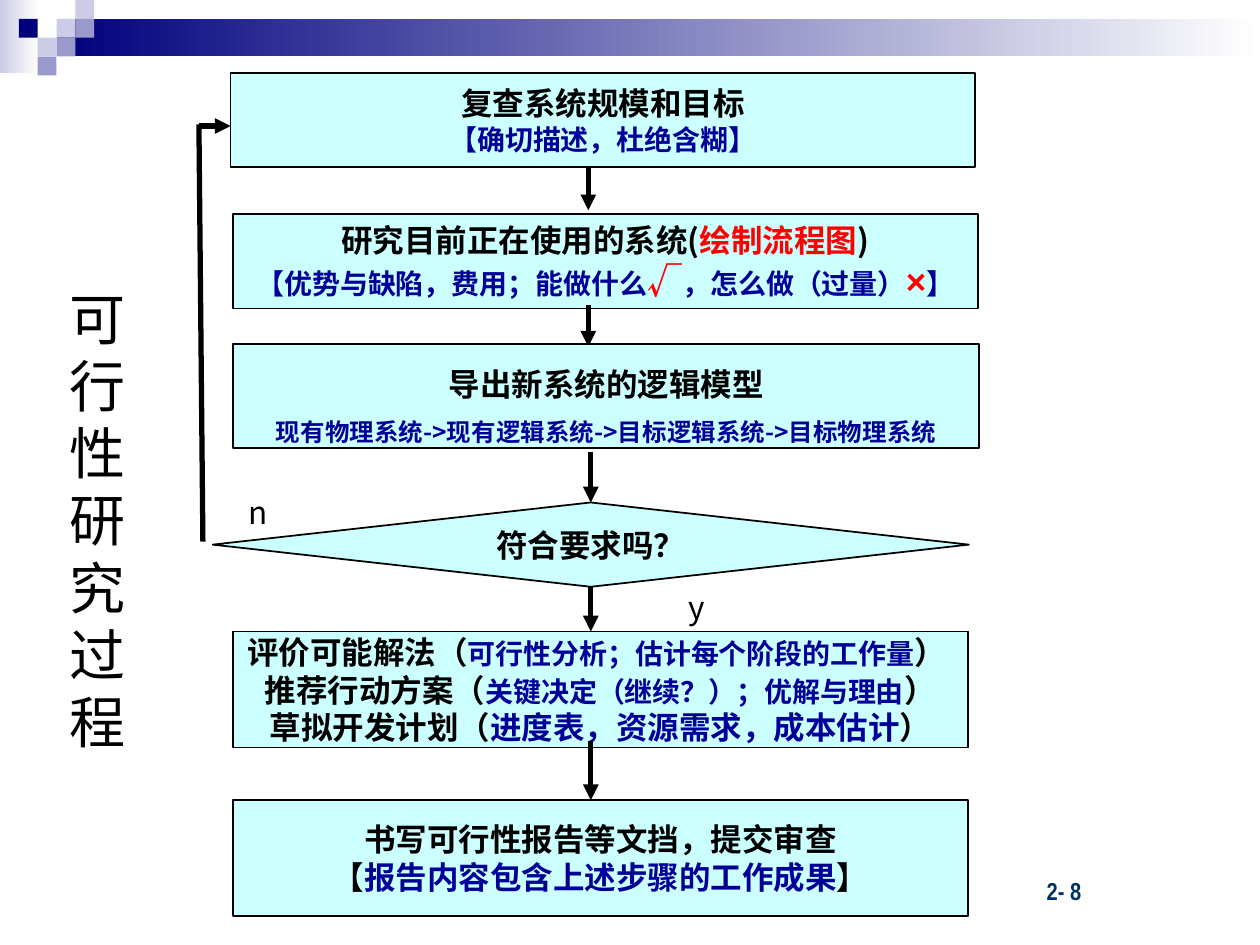
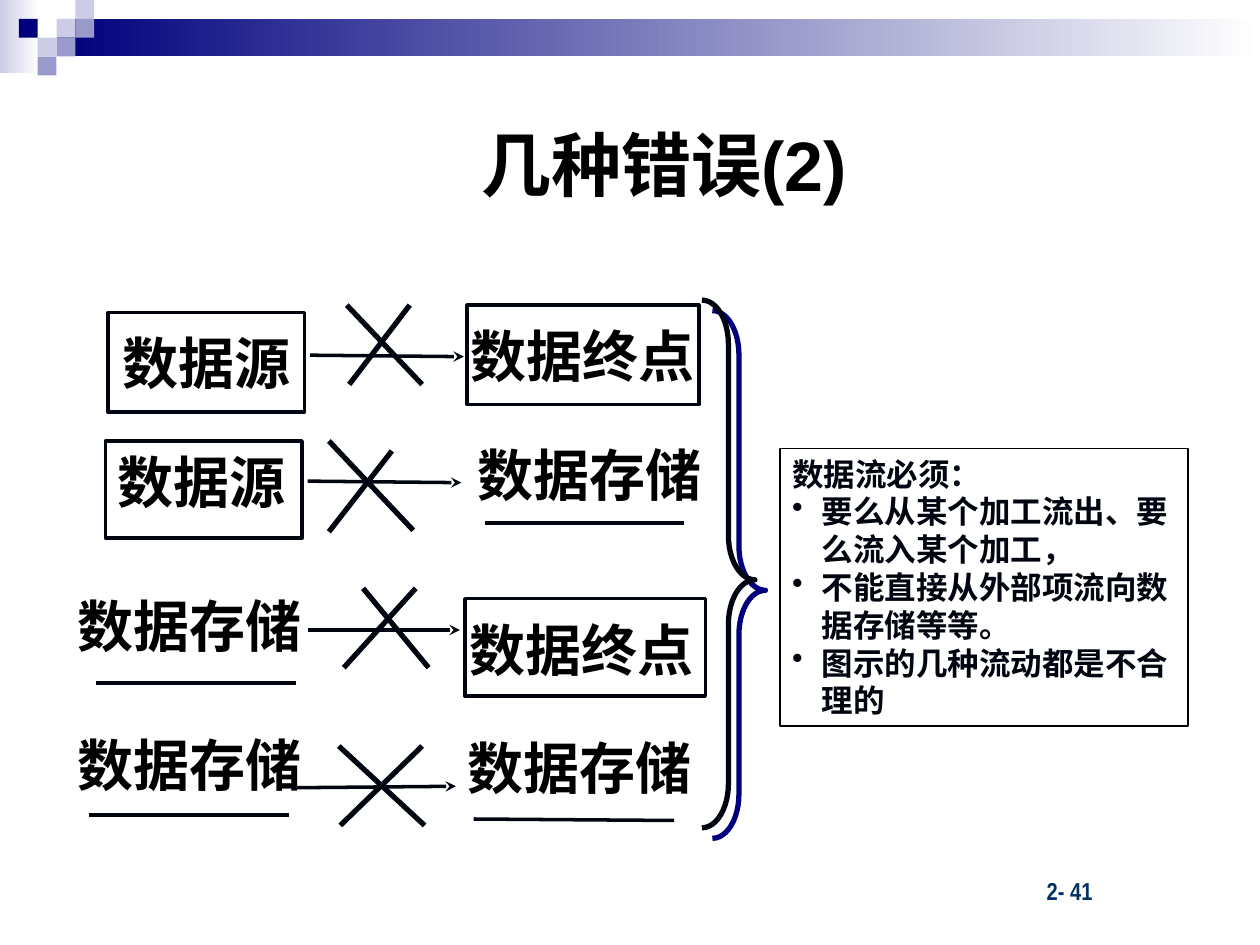
from typing import NamedTuple

from lxml.etree import SubElement
from pptx import Presentation
from pptx.dml.color import RGBColor
from pptx.enum.shapes import MSO_CONNECTOR as Connector, MSO_SHAPE as Preset
from pptx.enum.text import MSO_ANCHOR as Anchor, MSO_AUTO_SIZE as AutoSize, PP_ALIGN as Align
from pptx.oxml.ns import qn
from pptx.util import Cm, Pt

# Shared colours and fonts
BLACK = RGBColor(0x00, 0x00, 0x00)
WHITE = RGBColor(0xFF, 0xFF, 0xFF)
INK = RGBColor(0x01, 0x05, 0x0F)
NAVY = RGBColor(0x00, 0x00, 0x7D)
BLUE = RGBColor(0x00, 0x00, 0x99)
RED = RGBColor(0xFF, 0x00, 0x00)
LAVENDER = RGBColor(0xCC, 0xCC, 0xE6)
VIOLET = RGBColor(0x99, 0x99, 0xCC)
PALE_CYAN = RGBColor(0xCC, 0xFF, 0xFF)
FOOTER_BLUE = RGBColor(0x00, 0x31, 0x62)
CJK = "Noto Sans CJK SC"
LINE_HEIGHT = 1.2
SQUARE = 0.38


class Area(NamedTuple):
    left: float
    top: float
    width: float
    height: float

    def lengths(self) -> list:
        return [Cm(value) for value in self]


class Span(NamedTuple):
    text: str
    size: float = 18
    color: RGBColor = BLACK
    bold: bool = True
    font: str = CJK


class Stroke(NamedTuple):
    x1: float
    y1: float
    x2: float
    y2: float
    width: float = 3
    color: RGBColor = BLACK
    head: str = ""


class Step(NamedTuple):
    area: Area
    lines: list
    arrow: Stroke | None = None
    preset: Preset = Preset.RECTANGLE
    spacing: float = LINE_HEIGHT


class Node(NamedTuple):
    area: Area
    text: str = ""
    framed: bool = False


# Text helpers
def write_line(paragraph, spans: list, align=Align.LEFT, spacing: float = LINE_HEIGHT) -> None:
    paragraph.alignment = align
    paragraph.line_spacing = Pt(round(spacing * max(span.size for span in spans), 1))
    for span in spans:
        run = paragraph.add_run()
        run.text = span.text
        run.font.name, run.font.size, run.font.bold = span.font, Pt(span.size), span.bold
        run.font.color.rgb = span.color
        SubElement(run.font._element, qn("a:ea")).set("typeface", CJK)


def write_lines(shape, lines: list, align=Align.LEFT, anchor=Anchor.TOP,
                wrap: bool = False, spacing: float = LINE_HEIGHT) -> None:
    frame = shape.text_frame
    frame.auto_size = AutoSize.NONE
    frame.word_wrap, frame.vertical_anchor = wrap, anchor
    for index, spans in enumerate(lines):
        paragraph = frame.add_paragraph() if index else frame.paragraphs[0]
        write_line(paragraph, spans, align, spacing)


def add_bullet(paragraph, color: RGBColor) -> None:
    properties = paragraph._p.get_or_add_pPr()
    properties.set("marL", str(Cm(0.6)))
    properties.set("indent", str(-Cm(0.6)))
    bullet_color = SubElement(properties, qn("a:buClr"))
    SubElement(bullet_color, qn("a:srgbClr")).set("val", str(color))
    SubElement(properties, qn("a:buChar")).set("char", "•")


# Shape helpers
def add_preset(slide, area: Area, preset=Preset.RECTANGLE, fill: RGBColor | None = None,
               line: RGBColor | None = None, width: float = 1):
    shape = slide.shapes.add_shape(preset, *area.lengths())
    shape.shadow.inherit = False
    if fill is None:
        shape.fill.background()
    else:
        shape.fill.solid()
        shape.fill.fore_color.rgb = fill
    if line is None:
        shape.line.fill.background()
    else:
        shape.line.color.rgb, shape.line.width = line, Pt(width)
    return shape


def add_fade(slide, area: Area, color: RGBColor) -> None:
    shape = add_preset(slide, area)
    shape.fill.gradient()
    shape.fill.gradient_angle = 0
    for stop, stop_color in zip(shape.fill.gradient_stops, (color, WHITE)):
        stop.color.rgb = stop_color


def add_stroke(slide, stroke: Stroke) -> None:
    ends = [Cm(value) for value in stroke[:4]]
    connector = slide.shapes.add_connector(Connector.STRAIGHT, *ends)
    connector.line.color.rgb, connector.line.width = stroke.color, Pt(stroke.width)
    if stroke.head:
        SubElement(connector.line._get_or_add_ln(), qn("a:tailEnd")).set("type", stroke.head)
    SubElement(connector._element.spPr, qn("a:effectLst"))


def add_label(slide, area: Area, spans: list, align=Align.LEFT, anchor=Anchor.TOP) -> None:
    write_lines(slide.shapes.add_textbox(*area.lengths()), [spans], align, anchor)


# Slide frame: fading band, mosaic squares, title and page number
def add_framed_slide(presentation, title: Span, title_area: Area, page: str):
    slide = presentation.slides.add_slide(presentation.slide_layouts[5])
    add_fade(slide, Area(0, 0, 0.79, 1.47), LAVENDER)
    add_fade(slide, Area(3 * SQUARE, SQUARE, 24.26, 2 * SQUARE), NAVY)
    mosaic = [(3, 1, LAVENDER), (4, 0, LAVENDER), (4, 1, VIOLET), (2, 2, LAVENDER),
              (1, 1, NAVY), (3, 2, VIOLET), (2, 3, VIOLET)]
    for column, row, color in mosaic:
        add_preset(slide, Area(column * SQUARE, row * SQUARE, SQUARE, SQUARE), fill=color)

    placeholder = slide.shapes.title
    placeholder.left, placeholder.top, placeholder.width, placeholder.height = title_area.lengths()
    write_lines(placeholder, [[title]], Align.CENTER, Anchor.MIDDLE, wrap=True)
    footer = Span(page, 14, FOOTER_BLUE, font="Arial Narrow")
    add_label(slide, Area(20.85, 17.53, 2.6, 0.84), [footer])
    return slide


def down_arrow(x: float, top: float, bottom: float) -> Stroke:
    return Stroke(x, top, x, bottom, head="triangle")


def blue(text: str, size: float = 16) -> Span:
    return Span(text, size, BLUE)


def red_mark(text: str) -> Span:
    return Span(text, 20, RED, font="Arial")


# Slide 1: feasibility study flow
STEPS = [
    Step(Area(4.65, 1.47, 15.01, 1.9),
         [[Span("复查系统规模和目标")], [blue("【确切描述，杜绝含糊】")]],
         down_arrow(11.86, 3.38, 4.24)),
    Step(Area(4.7, 4.32, 15.01, 1.9),
         [[Span("研究目前正在使用的系统("), Span("绘制流程图", color=RED), Span(")")],
          [blue("【优势与缺陷，费用；能做什么"), red_mark("√"),
           blue("，怎么做（过量）"), red_mark("×"), blue("】")]],
         down_arrow(11.86, 6.15, 6.99)),
    Step(Area(4.7, 6.93, 15.04, 2.11),
         [[Span("导出新系统的逻辑模型")],
          [blue("现有物理系统->现有逻辑系统->目标逻辑系统->目标物理系统", 14)]],
         down_arrow(11.91, 9.12, 10.13), spacing=1.5 * LINE_HEIGHT),
    Step(Area(4.29, 10.13, 15.24, 1.7), [[Span("符合要求吗？")]],
         down_arrow(11.91, 11.83, 12.73), Preset.FLOWCHART_DECISION),
    Step(Area(4.7, 12.73, 14.81, 2.34),
         [[Span("评价可能解法（"), blue("可行性分析；估计每个阶段的工作量"), Span("） ")],
          [Span("推荐行动方案（"), blue("关键决定（继续？）；优解与理由"), Span("）")],
          [Span("草拟开发计划（"), blue("进度表，资源需求，成本估计", 18), Span("）")]],
         down_arrow(11.91, 14.94, 16.13)),
    Step(Area(4.7, 16.13, 14.81, 2.34),
         [[Span("书写可行性报告等文挡，提交审查")],
          [Span("【"), blue("报告内容包含上述步骤的工作成果", 18), Span("】")]]),
]


def build_process_slide(presentation) -> None:
    slide = add_framed_slide(presentation, Span("可行性研究过程", 32, bold=False),
                             Area(0.69, 1.9, 2.54, 17.15), "2- 8")
    for step in STEPS:
        shape = add_preset(slide, step.area, step.preset, PALE_CYAN, BLACK)
        write_lines(shape, step.lines, Align.CENTER, Anchor.MIDDLE, spacing=step.spacing)
        if step.arrow:
            add_stroke(slide, step.arrow)

    # Return path and branch labels
    add_stroke(slide, Stroke(4.09, 10.92, 4.01, 2.51))
    add_stroke(slide, Stroke(4.01, 2.54, 4.65, 2.54, head="triangle"))
    for answer, area in (("n", Area(3.71, 10.11, 2.97, 0.43)),
                         ("y", Area(13.31, 11.91, 1.47, 0.64))):
        add_label(slide, area, [Span(answer, bold=False)], Align.CENTER, Anchor.MIDDLE)


# Slide 2: wrong data flows
NODES = [
    Node(Area(2.18, 6.3, 3.96, 2.01), "数据源", True),
    Node(Area(9.42, 6.15, 4.67, 2.01), "数据终点", True),
    Node(Area(2.13, 8.89, 3.96, 1.96), framed=True),
    Node(Area(2.11, 8.89, 3.91, 1.6), "数据源"),
    Node(Area(9.37, 8.76, 5.03, 1.6), "数据存储"),
    Node(Area(1.32, 11.79, 5.03, 1.6), "数据存储"),
    Node(Area(9.37, 12.07, 4.85, 1.96), framed=True),
    Node(Area(9.22, 12.29, 5.03, 1.6), "数据终点"),
    Node(Area(1.32, 14.61, 5.03, 1.6), "数据存储"),
    Node(Area(9.17, 14.66, 5.03, 1.6), "数据存储"),
]
FLOWS = [(6.25, 7.16, 9.35, 7.19), (6.2, 9.7, 9.3, 9.73),
         (6.2, 12.7, 9.27, 12.7), (5.89, 15.88, 9.19, 15.85)]
STORE_LINES = [(9.78, 10.54, 13.79, 10.54), (1.93, 13.77, 5.97, 13.77),
               (9.55, 16.51, 13.59, 16.54), (1.8, 16.43, 5.82, 16.43)]
CROSSES = [(6.99, 6.15, 8.51, 7.75), (8.26, 6.15, 7.04, 7.75),
           (6.63, 8.89, 8.33, 10.69), (7.9, 9.09, 6.63, 10.72),
           (7.32, 11.86, 8.64, 13.46), (8.38, 11.86, 6.93, 13.46),
           (6.83, 15.04, 8.56, 16.64), (8.51, 15.04, 6.86, 16.64)]
RULES = ["要么从某个加工流出、要么流入某个加工，", "不能直接从外部项流向数据存储等等。",
         "图示的几种流动都是不合理的"]


def add_brace(slide, area: Area) -> None:
    brace = add_preset(slide, area, Preset.RIGHT_BRACE, line=INK, width=3)
    brace.adjustments[0], brace.adjustments[1] = 0.83, 0.53
    effects = brace._element.spPr.find(qn("a:effectLst"))
    shadow = SubElement(effects, qn("a:outerShdw"), dist=str(Pt(8.5)), dir="2700000",
                        algn="ctr", rotWithShape="0")
    SubElement(shadow, qn("a:srgbClr")).set("val", str(NAVY))


def build_errors_slide(presentation) -> None:
    slide = add_framed_slide(presentation, Span("几种错误(2)", 40, font="Arial"),
                             Area(3.35, 1.7, 20.07, 3.18), "2- 41")
    add_brace(slide, Area(14.15, 6.05, 1.07, 10.64))
    for node in NODES:
        spans = [Span(node.text, 32)]
        if not node.framed:
            add_label(slide, node.area, spans)
            continue
        shape = add_preset(slide, node.area, line=INK, width=2)
        if node.text:
            write_lines(shape, [spans], Align.CENTER, Anchor.MIDDLE)

    # Flow arrows, store underlines and crosses
    for ends in FLOWS:
        add_stroke(slide, Stroke(*ends, 2, INK, "stealth"))
    for ends in STORE_LINES:
        add_stroke(slide, Stroke(*ends, 2, INK))
    for ends in CROSSES:
        add_stroke(slide, Stroke(*ends, 3, INK))

    # Rules for data flows
    box = add_preset(slide, Area(15.72, 9.04, 8.23, 5.59), line=BLACK)
    write_lines(box, [[Span("数据流必须：", color=INK)]], wrap=True)
    for rule in RULES:
        paragraph = box.text_frame.add_paragraph()
        add_bullet(paragraph, INK)
        write_line(paragraph, [Span(rule, color=INK)])


def main() -> None:
    presentation = Presentation()
    presentation.slide_width, presentation.slide_height = Cm(25.4), Cm(19.05)
    build_process_slide(presentation)
    build_errors_slide(presentation)
    presentation.save("out.pptx")


if __name__ == "__main__":
    main()
